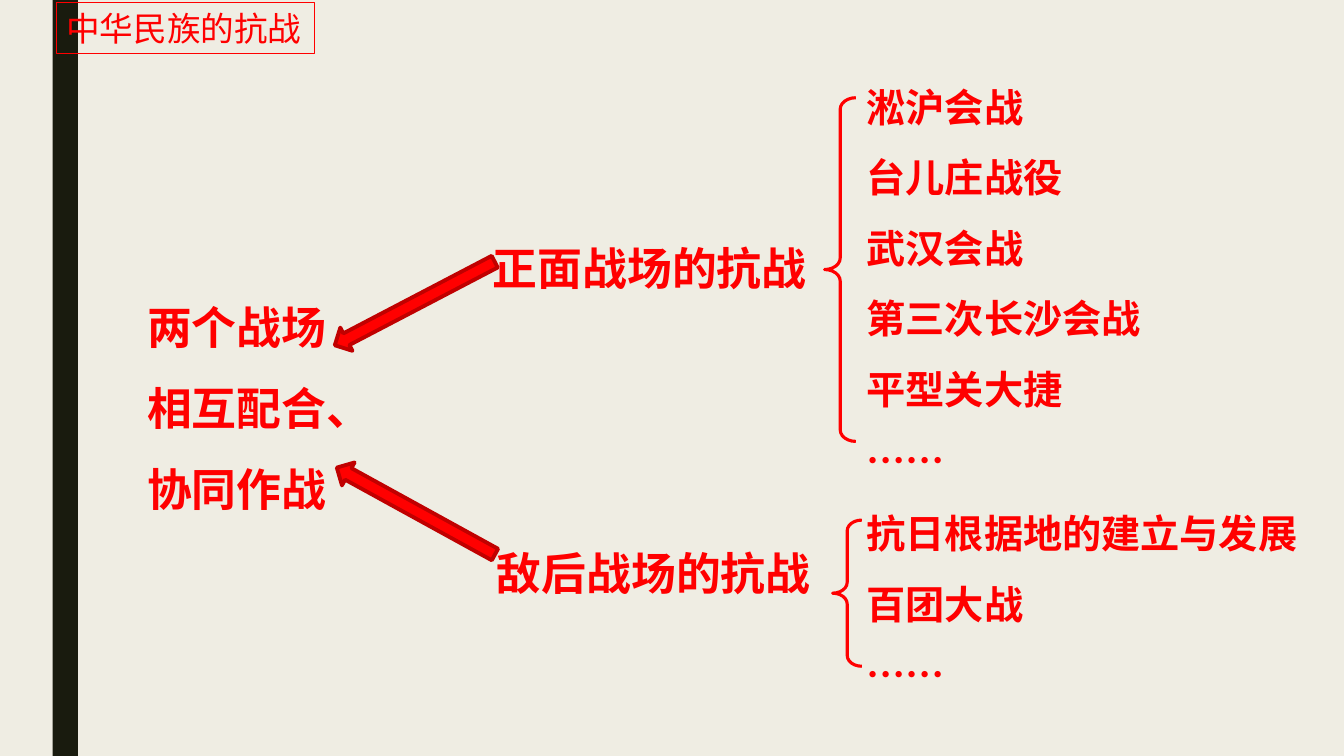
from lxml import etree
from pptx import Presentation
from pptx import util as u
from pptx.dml.color import RGBColor
from pptx.enum import shapes, text
from pptx.oxml.ns import qn

RED = RGBColor(0xFF, 0x00, 0x00)
DARK_RED = RGBColor(0xC0, 0x00, 0x00)
CREAM = RGBColor(0xEF, 0xED, 0xE3)
OLIVE = RGBColor(0x19, 0x1B, 0x0E)


class BattleSlide:
    """Holds the style and the slide being drawn; lengths are in points."""

    font_name = "Noto Sans CJK SC"

    def __init__(self, deck):
        self.slide = deck.slides.add_slide(deck.slide_layouts[6])
        self.slide.background.fill.solid()
        self.slide.background.fill.fore_color.rgb = CREAM

    def shape(self, kind, box, fill=None, line=None, weight=1.0):
        item = self.slide.shapes.add_shape(kind, *map(u.Pt, box))
        item.shadow.inherit = False
        if fill is None:
            item.fill.background()
        else:
            item.fill.solid()
            item.fill.fore_color.rgb = fill
        if line is None:
            item.line.fill.background()
        else:
            item.line.color.rgb = line
            item.line.width = u.Pt(weight)
        return item

    def label(self, box, lines, size, bold=True, spacing=None, wrap=True):
        item = self.slide.shapes.add_textbox(*map(u.Pt, box))
        frame = item.text_frame
        frame.word_wrap = wrap
        frame.auto_size = text.MSO_AUTO_SIZE.SHAPE_TO_FIT_TEXT
        frame.text = "\n".join(lines)
        for paragraph in frame.paragraphs:
            paragraph.line_spacing = spacing
            font = paragraph.font
            font.name, font.size, font.bold = self.font_name, u.Pt(size), bold
            font.color.rgb = RED
            # East Asian typeface
            defaults = paragraph._p.pPr.find(qn("a:defRPr"))
            latin = defaults.find(qn("a:latin"))
            east_asian = etree.Element(qn("a:ea"), typeface=self.font_name)
            latin.addnext(east_asian)
        return item

    def brace(self, box):
        item = self.shape(shapes.MSO_SHAPE.LEFT_BRACE, box, line=RED, weight=2.25)
        item.adjustments[0] = 0.369
        item.adjustments[1] = 0.5

    def arrow(self, box, rotation):
        item = self.shape(shapes.MSO_SHAPE.LEFT_ARROW, box, RED, DARK_RED, 2.75)
        item.rotation = rotation


def main():
    deck = Presentation()
    deck.slide_width, deck.slide_height = u.Pt(960), u.Pt(540)
    page = BattleSlide(deck)

    # Side bar and heading
    page.shape(shapes.MSO_SHAPE.RECTANGLE, (37.6, 0, 18, 540), fill=OLIVE)
    heading = page.label((40.3, 1.8, 184.3, 36.3), ["中华民族的抗战"], 24,
                         bold=False, wrap=False)
    heading.line.color.rgb = RED
    heading.line.width = u.Pt(0.75)

    # Conclusion on the left
    page.label((98, 191.5, 247, 181.5), ["两个战场", "相互配合、", "协同作战"],
               32, spacing=1.5)

    # The two battlefields
    page.label((345, 168.5, 247, 46), ["正面战场的抗战"], 32)
    page.label((347.8, 386, 247, 46), ["敌后战场的抗战"], 32)

    # Battles on each battlefield
    page.label((612, 38.9, 341.3, 312.5),
               ["淞沪会战", "台儿庄战役", "武汉会战", "第三次长沙会战",
                "平型关大捷", "……"], 28, spacing=1.5)
    page.label((612, 343.4, 341.3, 160),
               ["抗日根据地的建立与发展", "百团大战", "……"], 28, spacing=1.5)

    # Braces and arrows
    page.brace((589, 69.8, 22.3, 245.5))
    page.brace((594.7, 371.5, 20.9, 104.4))
    page.arrow((231.8, 207.4, 128.9, 18.7), 332.4)
    page.arrow((232.6, 355.7, 128.9, 18.7), 28.8)

    deck.save("out.pptx")


if __name__ == "__main__":
    main()
